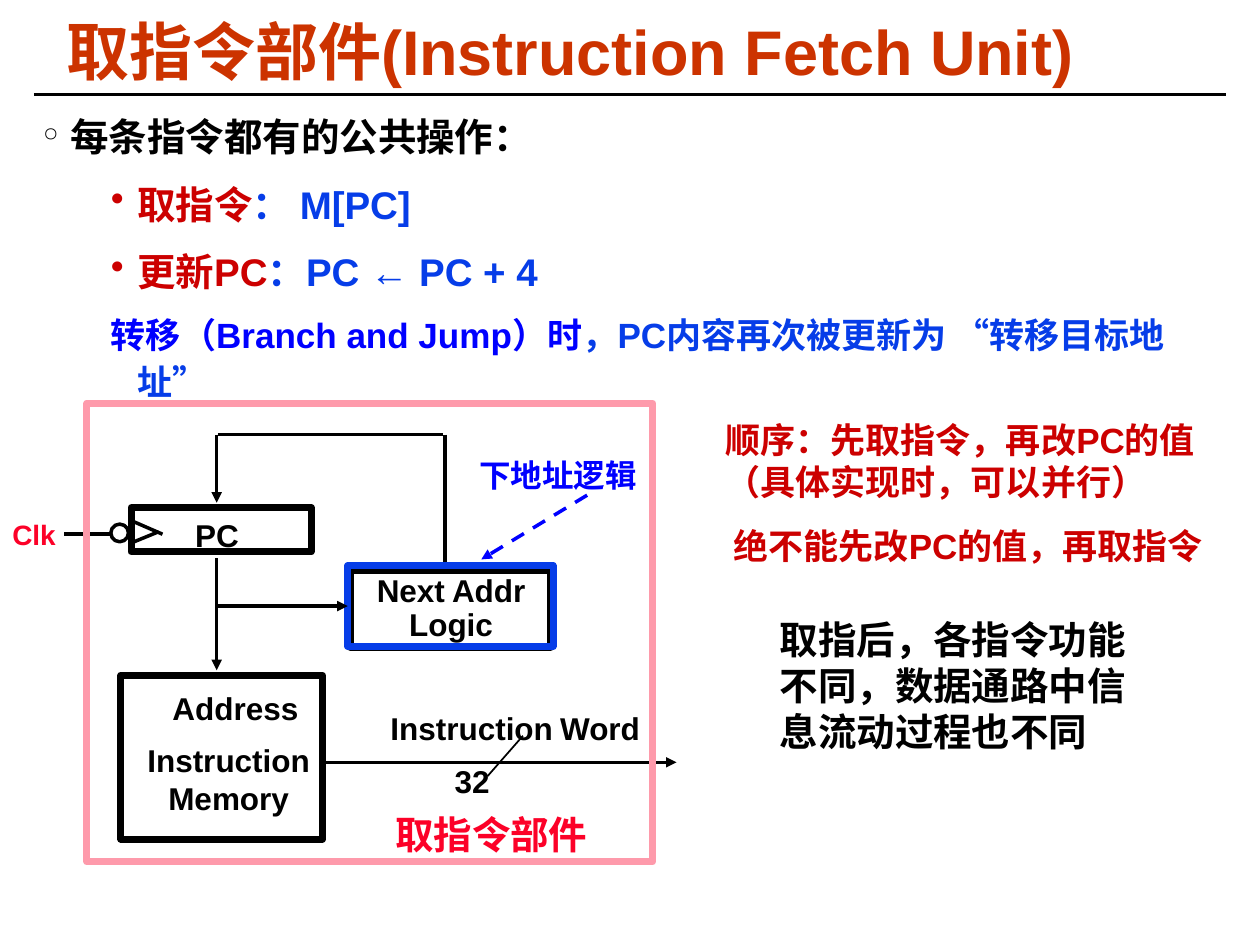
from dataclasses import dataclass
from typing import Optional

from lxml import etree
from pptx import Presentation
from pptx import util as u
from pptx.dml.color import RGBColor
from pptx.enum import dml, shapes, text
from pptx.oxml import ns

BLACK = RGBColor(0x00, 0x00, 0x00)
TITLE_ORANGE = RGBColor(0xCC, 0x33, 0x00)
DARK_RED = RGBColor(0xCC, 0x00, 0x00)
BRIGHT_RED = RGBColor(0xFC, 0x01, 0x28)
BLUE = RGBColor(0x06, 0x3D, 0xE8)
PURE_BLUE = RGBColor(0x00, 0x00, 0xFF)
PINK = RGBColor(0xFE, 0x9A, 0xAB)
ARIAL, TIMES = "Arial", "Times New Roman"
LEFT, CENTER = text.PP_ALIGN.LEFT, text.PP_ALIGN.CENTER


@dataclass(frozen=True)
class Run:
    text: str
    size: float = 18
    color: RGBColor = BLACK
    font: str = ARIAL


@dataclass(frozen=True)
class Label:
    box: tuple[float, float, float, float]
    paragraphs: list[list[Run]]
    align: text.PP_ALIGN = LEFT
    wrap: bool = False
    space_before: float = 0
    line_spacing: float = 1.0


@dataclass(frozen=True)
class Bullet:
    runs: list[Run]
    level: int = 1
    margin: float = 0.75
    indent: float = -0.21
    mark: Optional[str] = "•"
    mark_color: RGBColor = DARK_RED
    space_before: float = 9.6


@dataclass(frozen=True)
class Box:
    box: tuple[float, float, float, float]
    color: RGBColor = BLACK
    width: float = 4
    kind: shapes.MSO_SHAPE = shapes.MSO_SHAPE.RECTANGLE


@dataclass(frozen=True)
class Wire:
    start: tuple[float, float]
    end: tuple[float, float]
    arrow: bool = False
    width: float = 2
    color: RGBColor = BLACK
    dashed: bool = False


SPACE = Run(" ", 16, font=TIMES)

BULLETS = [
    Bullet([Run("每条指令都有的公共操作：", 22)], 0, 0.22, -0.22, "°", BLACK, 0),
    Bullet([Run("取指令", 22, DARK_RED), Run("： M[PC]", 22, BLUE)]),
    Bullet([Run("更新PC", 22, DARK_RED), Run("：PC ← PC + 4", 22, BLUE)]),
    Bullet([Run("转移（Branch and Jump）时", 20, PURE_BLUE),
            Run("，PC内容再次被更新为 “转移目标地址”", 20, BLUE)],
           mark=None, space_before=8.8),
]

BOXES = [
    Box((0.96, 5.36, 1.6, 1.3)),  # instruction memory
    Box((1.04, 4.03, 1.43, 0.35)),  # program counter
    Box((0.88, 4.16, 0.14, 0.14), width=2, kind=shapes.MSO_SHAPE.OVAL),
    Box((2.78, 4.53, 1.59, 0.61)),  # next address logic
]
HIGHLIGHT = Box((2.76, 4.49, 1.63, 0.64), BLUE)
UNIT_FRAME = Box((0.69, 3.2, 4.49, 3.64), PINK)

WIRES = [
    Wire((0.27, 0.75), (9.73, 0.75), width=1.5),  # rule below the title
    Wire((2.54, 6.05), (5.37, 6.05), arrow=True),
    Wire((4.15, 5.84), (3.87, 6.16), width=1),  # bus width slash
    Wire((1.29, 4.24), (1.06, 4.14)),
    Wire((1.26, 4.22), (1.04, 4.31)),
    Wire((0.88, 4.24), (0.51, 4.24)),
    Wire((1.72, 4.43), (1.72, 5.32), arrow=True),
    Wire((1.72, 3.45), (1.72, 3.99), arrow=True),
    Wire((1.73, 3.45), (3.52, 3.45)),
    Wire((3.53, 3.45), (3.53, 4.49)),
    Wire((4.66, 3.93), (3.82, 4.44), arrow=True, color=PURE_BLUE, dashed=True),
]
PC_TO_NEXT_ADDRESS = Wire((1.73, 4.81), (2.76, 4.81), arrow=True)

LABELS = [
    Label((3.51, 6, 0.48, 0.4), [[Run("32")]]),
    Label((3, 5.58, 2.18, 0.4), [[Run("Instruction"), SPACE, Run("Word")]]),
    Label((1.27, 5.42, 1.2, 0.4), [[Run("Address")]]),
    Label((1.07, 5.83, 1.49, 0.7), [[Run("Instruction")], [Run("Memory")]], CENTER),
    Label((1.45, 4.05, 0.55, 0.4), [[Run("PC")]]),
    Label((0, 4.06, 0.56, 0.36), [[Run("Clk", 16, BRIGHT_RED)]]),
    Label((2.89, 4.52, 1.38, 0.64), [[Run("Next"), SPACE, Run("Addr")], [Run("Logic")]],
          CENTER, line_spacing=0.9),
    Label((5.66, 3.27, 4.11, 1.61),
          [[Run("顺序：先取指令，再改PC的值（具体实现时，可以并行）", 20, DARK_RED)],
           [Run(" 绝不能先改PC的值，再取指令", 20, DARK_RED)]],
          wrap=True, space_before=12.5),
    Label((3.7, 3.57, 1.46, 0.4), [[Run("下地址逻辑", 18, PURE_BLUE, TIMES)]], CENTER, True),
    Label((6.09, 4.84, 3.13, 1.2),
          [[Run("取指后，各指令功能不同，数据通路中信息流动过程也不同", 22, font=TIMES)]], wrap=True),
    Label((2.57, 6.39, 2.66, 0.47), [[Run("取指令部件", 22, BRIGHT_RED)]], CENTER, True),
]


def add_runs(paragraph, runs: list[Run]) -> None:
    for item in runs:
        run = paragraph.add_run()
        run.text = item.text
        run.font.size = u.Pt(item.size)
        run.font.name = item.font
        run.font.bold = True
        run.font.color.rgb = item.color


def prepare_frame(frame, wrap: bool, side: float, top: float) -> None:
    frame.word_wrap = wrap
    frame.auto_size = text.MSO_AUTO_SIZE.NONE
    frame.vertical_anchor = text.MSO_ANCHOR.TOP
    frame.margin_left = frame.margin_right = u.Inches(side)
    frame.margin_top = frame.margin_bottom = u.Inches(top)


def paragraph_at(frame, index: int):
    return frame.add_paragraph() if index else frame.paragraphs[0]


def add_label(slide, label: Label) -> None:
    frame = slide.shapes.add_textbox(*map(u.Inches, label.box)).text_frame
    prepare_frame(frame, label.wrap, 0.1, 0.05)
    for index, runs in enumerate(label.paragraphs):
        paragraph = paragraph_at(frame, index)
        paragraph.alignment = label.align
        paragraph.line_spacing = label.line_spacing
        paragraph.space_before = u.Pt(label.space_before if index else 0)
        add_runs(paragraph, runs)


def add_title(slide) -> None:
    title = slide.shapes.title
    title.left, title.top, title.width, title.height = map(u.Inches, (0.38, 0.15, 8.29, 0.58))
    prepare_frame(title.text_frame, True, 0.07, 0.03)
    paragraph = title.text_frame.paragraphs[0]
    paragraph.alignment = CENTER
    paragraph.line_spacing = 0.87
    add_runs(paragraph, [Run("取指令部件(Instruction Fetch Unit)", 36, TITLE_ORANGE)])


def add_bullets(slide) -> None:
    frame = slide.shapes.add_textbox(*map(u.Inches, (0.27, 0.83, 9.51, 2.39))).text_frame
    prepare_frame(frame, True, 0.07, 0.03)
    for index, bullet in enumerate(BULLETS):
        paragraph = paragraph_at(frame, index)
        properties = paragraph._p.get_or_add_pPr()
        properties.set("marL", str(u.Inches(bullet.margin)))
        properties.set("indent", str(u.Inches(bullet.indent)))
        if bullet.mark:
            color = etree.SubElement(properties, ns.qn("a:buClr"))
            etree.SubElement(color, ns.qn("a:srgbClr"), val=str(bullet.mark_color))
            etree.SubElement(properties, ns.qn("a:buChar"), char=bullet.mark)
        else:
            etree.SubElement(properties, ns.qn("a:buNone"))
        paragraph.level = bullet.level
        paragraph.line_spacing = 1.1
        paragraph.space_before = u.Pt(bullet.space_before)
        add_runs(paragraph, bullet.runs)


def add_box(slide, box: Box):
    shape = slide.shapes.add_shape(box.kind, *map(u.Inches, box.box))
    shape.shadow.inherit = False
    shape.fill.background()
    shape.line.color.rgb = box.color
    shape.line.width = u.Pt(box.width)
    return shape


def add_wire(slide, wire: Wire):
    connector = slide.shapes.add_connector(
        shapes.MSO_CONNECTOR.STRAIGHT, *map(u.Inches, wire.start + wire.end))
    connector.line.color.rgb = wire.color
    connector.line.width = u.Pt(wire.width)
    if wire.dashed:
        connector.line.dash_style = dml.MSO_LINE.DASH
    if wire.arrow:
        etree.SubElement(connector.line._get_or_add_ln(), ns.qn("a:tailEnd"), type="triangle")
    etree.SubElement(connector._element.spPr, ns.qn("a:effectLst"))
    return connector


def main() -> None:
    presentation = Presentation()
    presentation.slide_width, presentation.slide_height = u.Inches(10), u.Inches(7.5)
    slide = presentation.slides.add_slide(presentation.slide_layouts[5])
    add_title(slide)
    add_bullets(slide)
    for box in BOXES:
        add_box(slide, box)
    for wire in WIRES:
        add_wire(slide, wire)
    for label in LABELS:
        add_label(slide, label)
    highlight = add_box(slide, HIGHLIGHT)
    add_wire(slide, PC_TO_NEXT_ADDRESS).end_connect(highlight, 1)
    add_box(slide, UNIT_FRAME)
    presentation.save("out.pptx")


if __name__ == "__main__":
    main()
